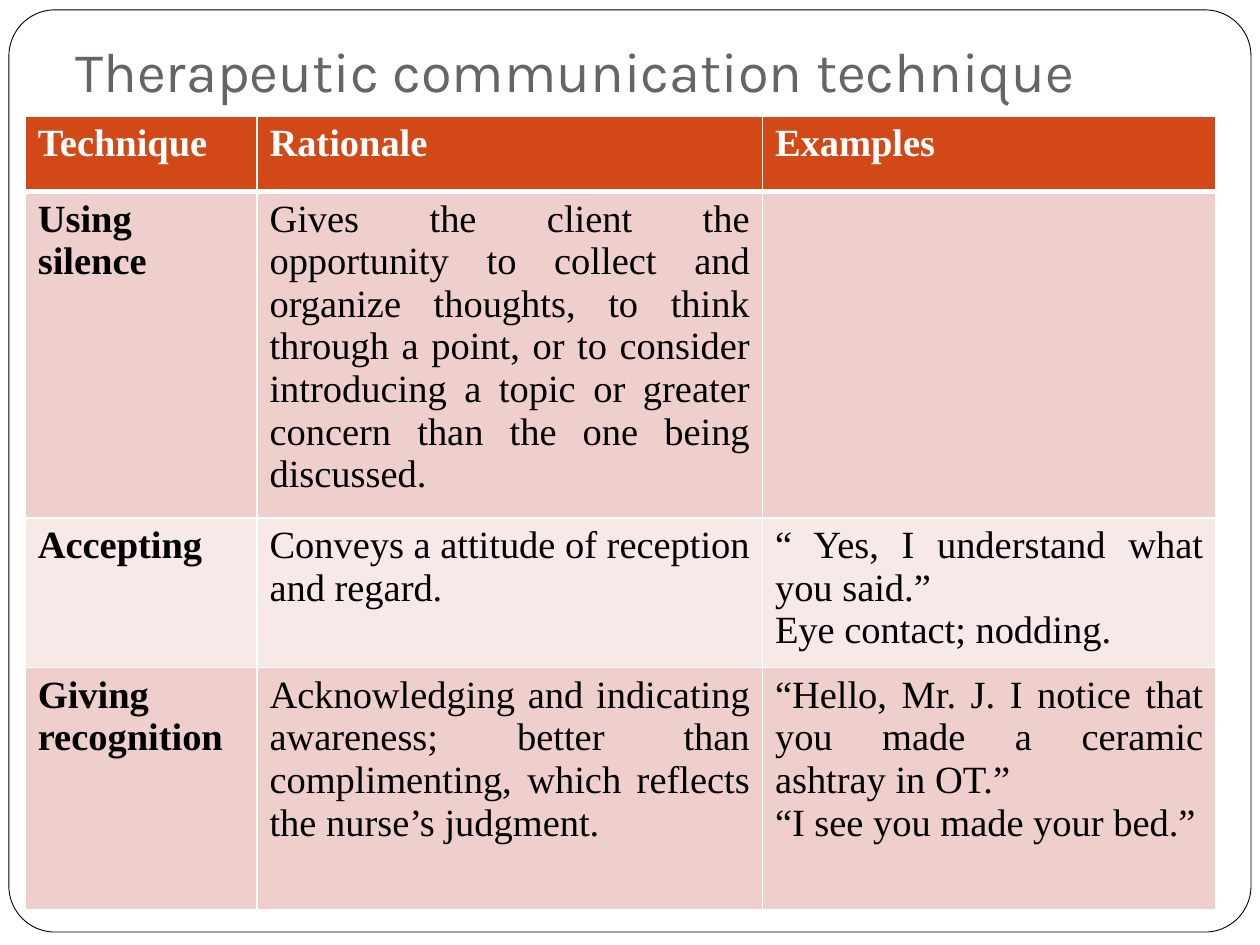
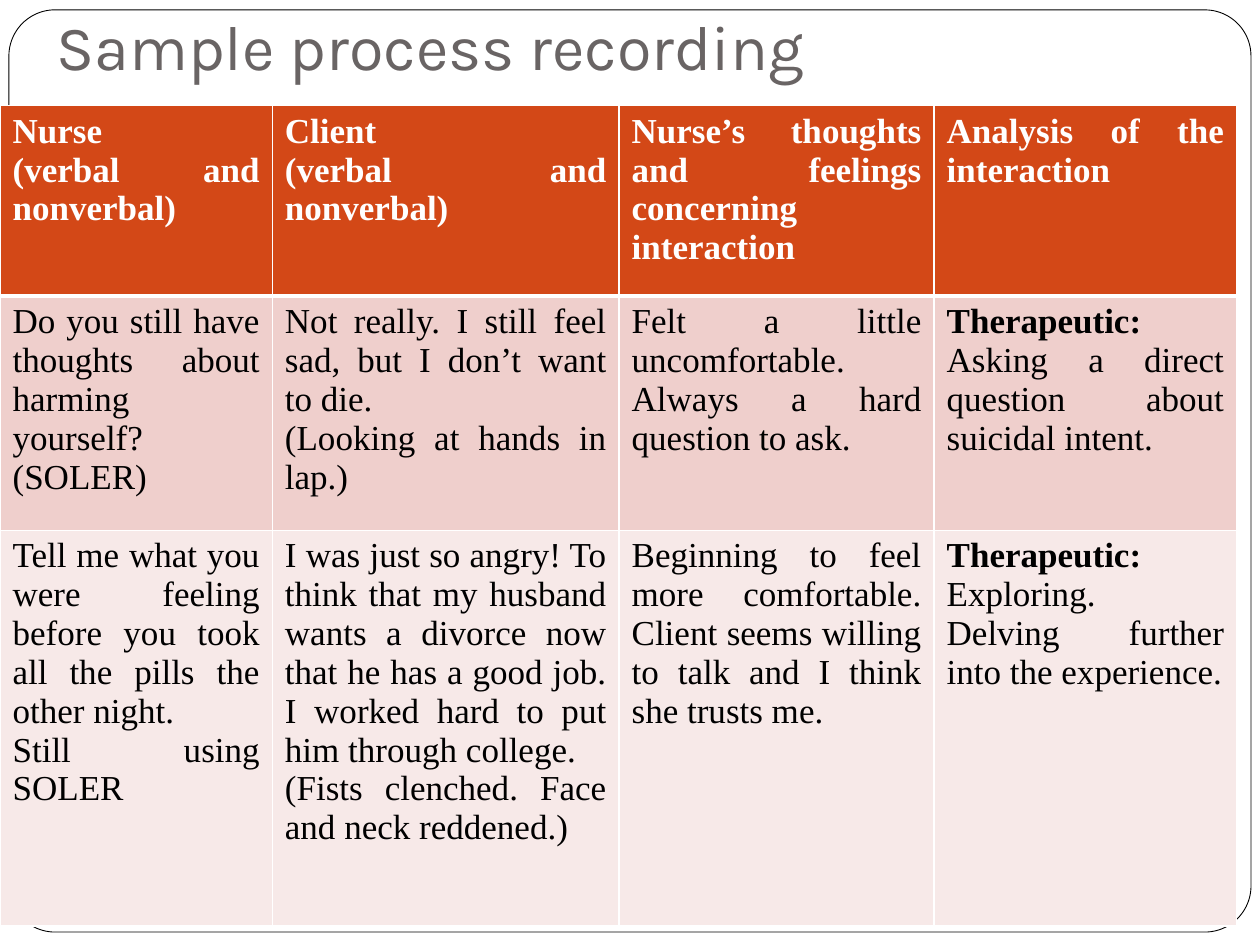
"""Build two slides on therapeutic communication, each a title over a table."""
from lxml import etree
from pptx import Presentation
from pptx.dml.color import RGBColor
from pptx.enum.shapes import MSO_SHAPE
from pptx.enum.text import MSO_ANCHOR, MSO_AUTO_SIZE, PP_ALIGN
from pptx.oxml.ns import qn
from pptx.util import Cm, Pt

ROUND = MSO_SHAPE.ROUNDED_RECTANGLE
BOTTOM = MSO_ANCHOR.BOTTOM
FIXED = MSO_AUTO_SIZE.NONE
LEFT, JUSTIFY = PP_ALIGN.LEFT, PP_ALIGN.JUSTIFY

WHITE = RGBColor(0xFF, 0xFF, 0xFF)
BLACK = RGBColor(0, 0, 0)
GREY = RGBColor(0x69, 0x64, 0x64)
ORANGE = RGBColor(0xD3, 0x48, 0x17)
ROSE = RGBColor(0xEF, 0xCF, 0xCC)
PALE = RGBColor(0xF7, 0xE9, 0xE8)

FRAME = (0.18, 0.2, 25.04, 18.59)
TITLE = dict(word_wrap=True, auto_size=FIXED, vertical_anchor=BOTTOM,
             margin_left=Cm(0.25), margin_top=Cm(0.13),
             margin_right=Cm(0.25), margin_bottom=Cm(0.25))

# Text between asterisks is bold; a new line starts a paragraph.
SLIDES = [
    dict(
        title="Therapeutic communication technique", size=32,
        box=(1.27, 0.6, 20.75, 1.74),
        at=(0.51, 2.34), cols=(4.67, 10.19, 9.14),
        rows=(1.52, 6.58, 3.02, 4.88), text=22,
        cells=[
            ["*Technique*", "*Rationale*", "*Examples*"],
            ["*Using silence*",
             "Gives the client the opportunity to collect and organize "
             "thoughts, to think through a point, or to consider introducing "
             "a topic or greater concern than the one being discussed.",
             ""],
            ["*Accepting*",
             "Conveys a attitude of reception and regard.",
             "“ Yes, I understand what you said.”\nEye contact; nodding."],
            ["*Giving recognition*",
             "Acknowledging and indicating awareness; better than "
             "complimenting, which reflects the nurse’s judgment.",
             "“Hello, Mr. J. I notice that you made a ceramic ashtray in OT.”\n"
             "“I see you made your bed.”"],
        ]),
    dict(
        title="Sample process recording", size=36,
        box=(0.89, 0.53, 21.79, 1.4),
        at=(0, 2.13), cols=(5.49, 6.99, 6.35, 6.1),
        rows=(3.84, 4.72, 7.98), text=20,
        cells=[
            ["*Nurse*\n*(verbal and nonverbal)*",
             "*Client*\n*(verbal and nonverbal)*",
             "*Nurse’s thoughts and feelings concerning interaction*",
             "*Analysis of the interaction*"],
            ["Do you still have thoughts about harming yourself? (SOLER)",
             "Not really. I still feel sad, but I don’t want to die.\n"
             "(Looking at hands in lap.)",
             "Felt a little uncomfortable. Always a hard question to ask.",
             "*Therapeutic:* Asking a direct question about suicidal intent."],
            ["Tell me what you were feeling before you took all the pills the "
             "other night.\nStill using SOLER",
             "I was just so angry! To think that my husband wants a divorce "
             "now that he has a good job. I worked hard to put him through "
             "college.\n(Fists clenched. Face and neck reddened.)",
             "Beginning to feel more comfortable. Client seems willing to talk "
             "and I think she trusts me.",
             "*Therapeutic:* Exploring.\nDelving further into the experience."],
        ]),
]


def style(item, **values):
    for name, value in values.items():
        setattr(item, name, value)


def edge(cell, side, width):
    line = etree.SubElement(cell._tc.get_or_add_tcPr(), qn("a:" + side),
                            w=str(Pt(width)))
    fill = etree.SubElement(line, qn("a:solidFill"))
    etree.SubElement(fill, qn("a:srgbClr"), val=str(WHITE))


prs = Presentation()
style(prs, slide_width=Cm(25.4), slide_height=Cm(19.05))

for page in SLIDES:
    slide = prs.slides.add_slide(prs.slide_layouts[5])

    frame = slide.shapes.add_shape(ROUND, *map(Cm, FRAME))
    frame.adjustments[0] = 0.05
    frame.shadow.inherit = False
    frame.fill.solid()
    frame.fill.fore_color.rgb = WHITE
    frame.line.color.rgb = BLACK
    frame.line.width = Pt(0.5)
    slide.shapes._spTree.insert(2, frame._element)

    title = slide.shapes.title
    left, top, width, height = map(Cm, page["box"])
    style(title, left=left, top=top, width=width, height=height)
    style(title.text_frame, text=page["title"], **TITLE)
    para = title.text_frame.paragraphs[0]
    para.alignment = LEFT
    font = para.runs[0].font
    style(font, name="Karla", size=Pt(page["size"]))
    font.color.rgb = GREY

    cols, rows = page["cols"], page["rows"]
    table = slide.shapes.add_table(
        len(rows), len(cols), *map(Cm, page["at"]),
        Cm(sum(cols)), Cm(sum(rows))).table
    for col, width in zip(table.columns, cols):
        col.width = Cm(width)
    for row, height in zip(table.rows, rows):
        row.height = Cm(height)

    for r, line in enumerate(page["cells"]):
        back = ORANGE if r == 0 else ROSE if r % 2 else PALE
        ink = BLACK if r else WHITE
        for c, text in enumerate(line):
            cell = table.cell(r, c)
            edge(cell, "lnL", 1)
            edge(cell, "lnR", 1)
            edge(cell, "lnT", 3 if r == 1 else 1)
            edge(cell, "lnB", 1 if r else 3)
            cell.fill.solid()
            cell.fill.fore_color.rgb = back
            cell.text = text.replace("*", "")
            for para, words in zip(cell.text_frame.paragraphs,
                                   text.split("\n")):
                para.clear()
                para.alignment = JUSTIFY
                for n, part in enumerate(words.split("*")):
                    if part:
                        run = para.add_run()
                        run.text = part
                        style(run.font, name="Times New Roman",
                              size=Pt(page["text"]), bold=n % 2 == 1)
                        run.font.color.rgb = ink

prs.save("out.pptx")
